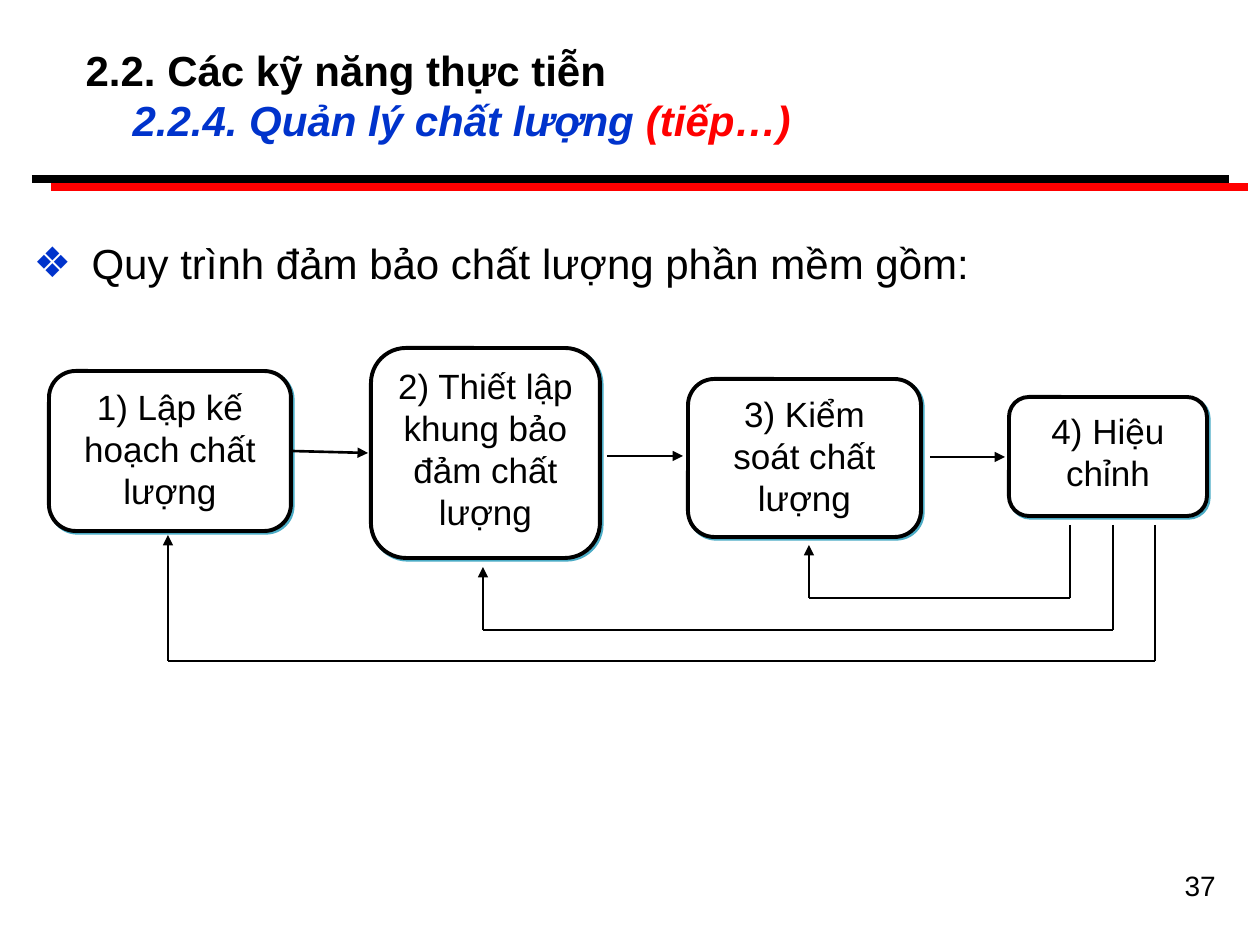
"""Build the slide on the software quality assurance process."""
import pptx
import pptx.util
import pptx.dml.color
import pptx.enum.shapes
import pptx.enum.text
import pptx.oxml
import pptx.oxml.ns

BLACK, BLUE, RED, TEAL, WHITE = "000000", "0033CC", "FF0000", "4BACC6", "FFFFFF"
ALIGN = pptx.enum.text.PP_ALIGN
HEAD = [
    (0, [("2.2. Các kỹ năng thực tiễn", BLACK, False)]),
    (47, [("2.2.4. Quản lý chất lượng ", BLUE, True), ("(tiếp…)", RED, True)]),
]
LEAD = "Quy trình đảm bảo chất lượng phần mềm gồm:"
PAGE = "37"
RULES = [(32, 1229, 179, BLACK), (51, 1248, 187, RED)]
STEPS = [
    ("1) Lập kế hoạch chất lượng", (49, 371, 242, 160)),
    ("2) Thiết lập khung bảo đảm chất lượng", (371, 348, 229, 210)),
    ("3) Kiểm soát chất lượng", (688, 379, 233, 158)),
    ("4) Hiệu chỉnh", (1009, 397, 198, 119)),
]
ARROWS = [(292, 368, 453), (607, 683, 456), (930, 1005, 457)]
LOOP_TOP = 525
LOOPS = [(1070, 809, 598, 545), (1113, 483, 630, 567), (1155, 168, 661, 535)]


def px(n):
    return pptx.util.Emu(round(n * 914400 / 126))


def rgb(code):
    return pptx.dml.color.RGBColor.from_string(code)


def add_xml(host, text):
    space = pptx.oxml.ns.nsdecls("a")
    node = pptx.oxml.parse_xml(text.replace(" ", f" {space} ", 1))
    host.append(node)


def place(shape, box):
    shape.left, shape.top, shape.width, shape.height = map(px, box)


def style(font, size, color=BLACK):
    font.name, font.size = "Arial", pptx.util.Pt(size)
    font.color.rgb = rgb(color)


def add_line(slide, start, end, color=BLACK, width=1.5, arrow=False):
    kind = pptx.enum.shapes.MSO_CONNECTOR.STRAIGHT
    line = slide.shapes.add_connector(kind, *map(px, start + end))
    line.line.color.rgb = rgb(color)
    line.line.width = pptx.util.Pt(width)
    if arrow:
        add_xml(line.line._get_or_add_ln(), '<a:tailEnd type="triangle"/>')
    add_xml(line._element.spPr, "<a:effectLst />")
    return line


def add_step(slide, text, box):
    kind = pptx.enum.shapes.MSO_SHAPE.ROUNDED_RECTANGLE
    step = slide.shapes.add_shape(kind, *map(px, box))
    step.fill.solid()
    step.fill.fore_color.rgb = rgb(WHITE)
    step.line.color.rgb = rgb(BLACK)
    step.line.width = pptx.util.Pt(2.25)
    step.shadow.inherit = False
    add_xml(step._element.spPr.find(pptx.oxml.ns.qn("a:effectLst")),
            '<a:outerShdw dist="17780" dir="2700000" algn="ctr" rotWithShape="0">'
            f'<a:srgbClr val="{TEAL}"/></a:outerShdw>')
    frame = step.text_frame
    frame.word_wrap = True
    frame.vertical_anchor = pptx.enum.text.MSO_ANCHOR.TOP
    para = frame.paragraphs[0]
    para.text, para.alignment = text, ALIGN.CENTER
    style(para.font, 20)
    return step


def add_title(slide):
    title = slide.shapes.title
    place(title, (73, 42, 1144, 105))
    frame = title.text_frame
    frame.vertical_anchor = pptx.enum.text.MSO_ANCHOR.MIDDLE
    for i, (indent, runs) in enumerate(HEAD):
        para = frame.add_paragraph() if i else frame.paragraphs[0]
        para.alignment = ALIGN.LEFT
        para.space_before = pptx.util.Pt(0)
        para._p.get_or_add_pPr().set("marL", str(px(indent)))
        for text, color, slant in runs:
            run = para.add_run()
            run.text = text
            style(run.font, 24, color)
            run.font.bold, run.font.italic = True, slant


def add_body(slide):
    body = slide.placeholders[1]
    place(body, (21, 231, 1239, 650))
    para = body.text_frame.paragraphs[0]
    para.text = LEAD
    para.space_before = pptx.util.Pt(6)
    style(para.font, 24)
    props = para._p.get_or_add_pPr()
    props.set("marL", str(px(58)))
    props.set("indent", str(px(-58)))
    marks = [f'<a:buClr ><a:srgbClr val="{BLUE}"/></a:buClr>',
             '<a:buFont typeface="Arial"/>', '<a:buChar char="❖"/>']
    font = props.find(pptx.oxml.ns.qn("a:defRPr"))
    for mark in marks:
        add_xml(props, mark)
    if font is not None:
        props.append(font)


def add_page(slide):
    page = slide.shapes.add_textbox(*map(px, (1144, 862, 84, 65)))
    page.text_frame.word_wrap = True
    para = page.text_frame.paragraphs[0]
    para.text, para.alignment = PAGE, ALIGN.RIGHT
    style(para.font, 16)


def main():
    deck = pptx.Presentation()
    deck.slide_width, deck.slide_height = px(1260), px(945)
    slide = deck.slides.add_slide(deck.slide_layouts[1])
    for left, right, y, color in RULES:
        add_line(slide, (left, y), (right, y), color, 4.5)
    add_title(slide)
    add_body(slide)
    add_page(slide)
    steps = [add_step(slide, *step) for step in STEPS]
    links = [add_line(slide, (a, y), (b, y), arrow=True) for a, b, y in ARROWS]
    links[0].begin_connect(steps[0], 3)
    for start, end, low, tip in LOOPS:
        add_line(slide, (start, LOOP_TOP), (start, low))
        add_line(slide, (start, low), (end, low))
        add_line(slide, (end, low), (end, tip), arrow=True)
    deck.save("out.pptx")


if __name__ == "__main__":
    main()
